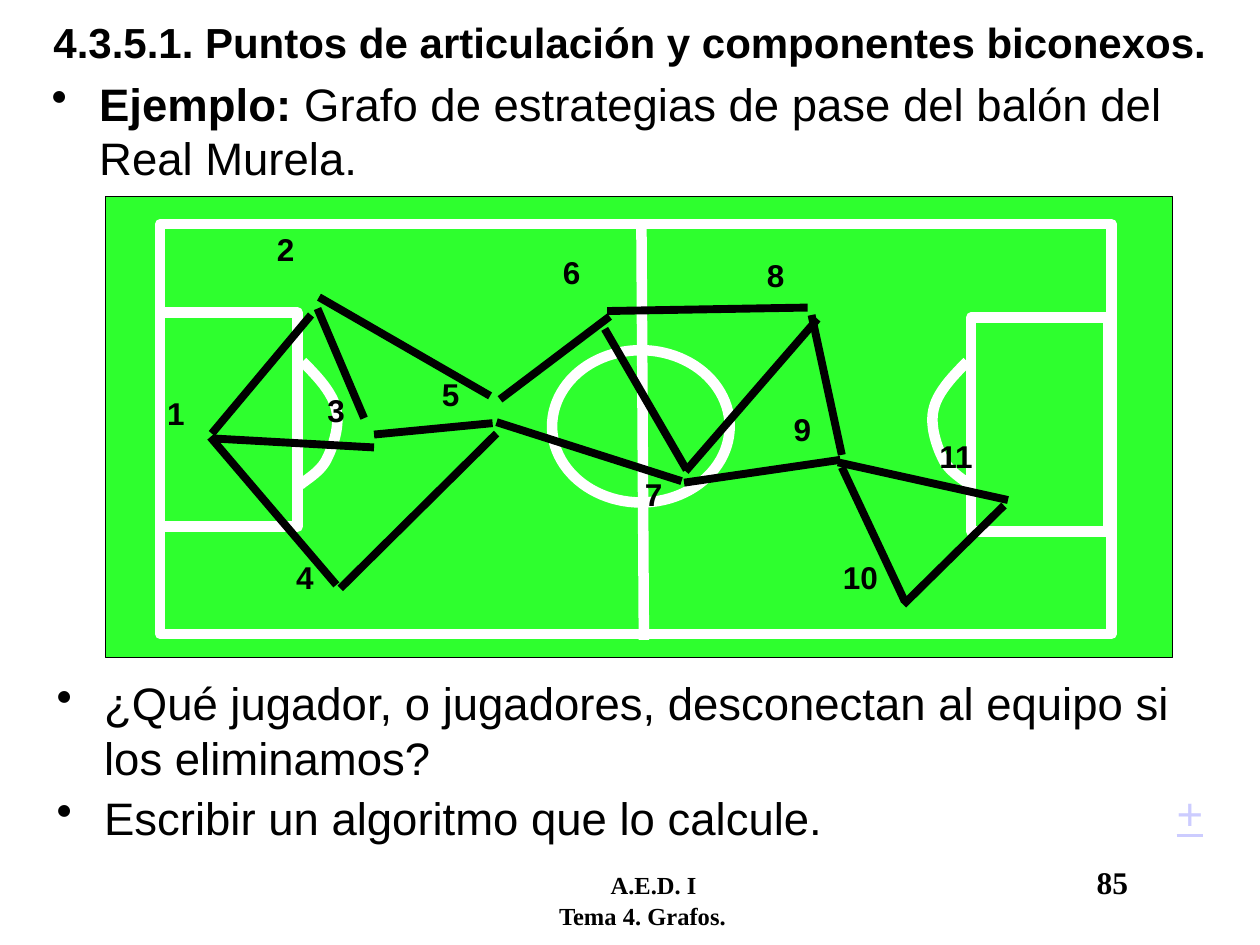
"""Build the slide on articulation points with a football passing graph."""
from lxml import etree
from pptx import Presentation
from pptx.dml.color import RGBColor
from pptx.enum import shapes, text
from pptx.oxml.ns import qn
from pptx.util import Cm, Pt

THEME = dict(
    ink="000000", grass="00FF00", chalk="FFFFFF", link="CCCCFF",
    sans="Arial", serif="Times New Roman",
    title=24, body=26, label=18, foot=14, page=18, mark=6, edge=4.5, rim=0.75,
)
TITLE = "4.3.5.1. Puntos de articulación y componentes biconexos."
INTRO = [[("Ejemplo:", True),
          (" Grafo de estrategias de pase del balón del Real Murela.", False)]]
TASKS = [[("¿Qué jugador, o jugadores, desconectan al equipo si los eliminamos?", False)],
         [("Escribir un algoritmo que lo calcule.", False)]]
FIELD = (2.13, 3.96, 21.51, 9.3)
MARKS = [
    ("RECTANGLE", (3.23, 4.52, 19.18, 8.26)),
    ("RECTANGLE", (3.23, 6.3, 2.77, 4.32)),
    ("RECTANGLE", (19.58, 6.4, 2.77, 4.32)),
    ("OVAL", (11.13, 7.06, 3.58, 3.07)),
]
HALF = (12.93, 4.5, 12.98, 12.9)
ARC = [(6.1, 7.29), (6.4, 7.59), (6.71, 7.92), (6.78, 8.26), (6.86, 8.59),
       (6.71, 9.02), (6.58, 9.27), (6.45, 9.53), (6.12, 9.7), (6.05, 9.78)]
MIRROR = 25.6
PASSES = [
    (4.27, 8.74, 6.27, 6.35), (6.43, 5.99, 9.88, 7.98), (6.4, 6.22, 7.34, 8.43),
    (7.54, 8.76, 9.93, 8.53), (6.86, 11.86, 10.01, 8.74), (4.24, 8.81, 6.78, 11.79),
    (10.01, 8.51, 13.74, 9.7), (10.08, 8.05, 12.29, 6.38), (4.32, 8.84, 7.54, 9.02),
    (12.24, 6.27, 16.28, 6.2), (13.79, 9.73, 16.94, 9.27), (12.19, 6.63, 13.84, 9.47),
    (13.82, 9.5, 16.48, 6.43), (16.36, 6.35, 16.97, 9.17), (16.97, 9.42, 18.24, 12.12),
    (16.89, 9.32, 20.32, 10.08), (20.24, 10.19, 18.21, 12.19),
]
PLAYERS = [(3.12, 7.82), (5.33, 4.52), (6.35, 7.75), (5.72, 11.13), (8.66, 7.44),
           (11.1, 4.98), (12.75, 9.45), (15.21, 5.03), (15.75, 8.15),
           (16.74, 11.13), (18.69, 8.69)]


def color(key):
    return RGBColor.from_string(THEME[key])


def write(para, words, size, bold=False, face="sans", ink="ink"):
    run = para.add_run()
    run.text = words
    font = run.font
    font.name, font.size, font.bold = THEME[face], Pt(THEME[size]), bold
    font.color.rgb = color(ink)
    return run


def frame(slide, box, wrap=True):
    body = slide.shapes.add_textbox(*map(Cm, box)).text_frame
    body.word_wrap = wrap
    return body


def stroke(shape, ink, width):
    shape.line.color.rgb = color(ink)
    shape.line.width = Pt(THEME[width])


def outline(shape, ink="chalk", width="mark"):
    shape.shadow.inherit = False
    shape.fill.background()
    stroke(shape, ink, width)


def link(slide, ends, ink, width):
    line = slide.shapes.add_connector(shapes.MSO_CONNECTOR.STRAIGHT, *map(Cm, ends))
    stroke(line, ink, width)
    etree.SubElement(line._element.spPr, qn("a:effectLst"))


def curve(dots, steps=12):
    trail = [dots[0]]
    for k in range(0, len(dots) - 1, 3):
        for n in range(1, steps + 1):
            t = n / steps
            mix = ((1 - t) ** 3, 3 * t * (1 - t) ** 2, 3 * t * t * (1 - t), t ** 3)
            trail.append(tuple(sum(m * p[i] for m, p in zip(mix, dots[k:k + 4]))
                               for i in (0, 1)))
    return [(Cm(x), Cm(y)) for x, y in trail]


def bullets(slide, box, items):
    body = frame(slide, box)
    for n, runs in enumerate(items):
        para = body.add_paragraph() if n else body.paragraphs[0]
        props = para._p.get_or_add_pPr()
        props.set("marL", str(Cm(0.96)))
        props.set("indent", str(-Cm(0.96)))
        etree.SubElement(props, qn("a:buChar")).set("char", "•")
        if n:
            para.space_before = Pt(3)
        for words, bold in runs:
            write(para, words, "body", bold)


def pitch(slide):
    grass = slide.shapes.add_shape(shapes.MSO_SHAPE.RECTANGLE, *map(Cm, FIELD))
    outline(grass, "ink", "rim")
    grass.fill.solid()
    grass.fill.fore_color.rgb = color("grass")
    tint = grass._element.spPr.find(".//" + qn("a:srgbClr"))
    etree.SubElement(tint, qn("a:alpha")).set("val", "82000")
    for kind, box in MARKS:
        outline(slide.shapes.add_shape(getattr(shapes.MSO_SHAPE, kind), *map(Cm, box)))
    link(slide, HALF, "chalk", "mark")
    for dots in (ARC, [(MIRROR - x, y) for x, y in ARC]):
        start, *rest = curve(dots)
        pen = slide.shapes.build_freeform(*start)
        pen.add_line_segments(rest, close=False)
        outline(pen.convert_to_shape())


def footer(slide):
    body = frame(slide, (9.19, 17.27, 14.73, 1.27))
    first, last = body.paragraphs[0], body.add_paragraph()
    tabs = etree.SubElement(first._p.get_or_add_pPr(), qn("a:tabLst"))
    for stop in (2.87, 12.67):
        tab = etree.SubElement(tabs, qn("a:tab"))
        tab.set("pos", str(Cm(stop)))
        tab.set("algn", "l")
    write(first, "\tA.E.D. I\t", "foot", True, "serif")
    write(first, "85", "page", True, "serif")
    last._p.get_or_add_pPr().set("marL", str(Cm(1.83)))
    write(last, "Tema 4. Grafos.", "foot", True, "serif")


def main():
    deck = Presentation()
    deck.slide_width, deck.slide_height = Cm(25.4), Cm(19.05)
    slide = deck.slides.add_slide(deck.slide_layouts[5])
    head = slide.shapes.title
    head.left, head.top, head.width, head.height = map(Cm, (0, 0, 25.4, 1.8))
    head.text_frame.vertical_anchor = text.MSO_ANCHOR.MIDDLE
    para = head.text_frame.paragraphs[0]
    para.alignment, para.line_spacing = text.PP_ALIGN.CENTER, 0.9
    write(para, TITLE, "title", True)
    footer(slide)
    pitch(slide)
    for ends in PASSES:
        link(slide, ends, "ink", "edge")
    bullets(slide, (0.79, 1.4, 23.77, 2.59), INTRO)
    bullets(slide, (0.89, 13.49, 23.77, 3.63), TASKS)
    for n, (x, y) in enumerate(PLAYERS, 1):
        body = frame(slide, (x, y, 0.84 if n < 10 else 1.3, 1.02), False)
        write(body.paragraphs[0], str(n), "label", True)
    more = frame(slide, (23.47, 15.7, 1.04, 1.35), False)
    write(more.paragraphs[0], "+", "body", ink="link").font.underline = True
    deck.save("out.pptx")


if __name__ == "__main__":
    main()
